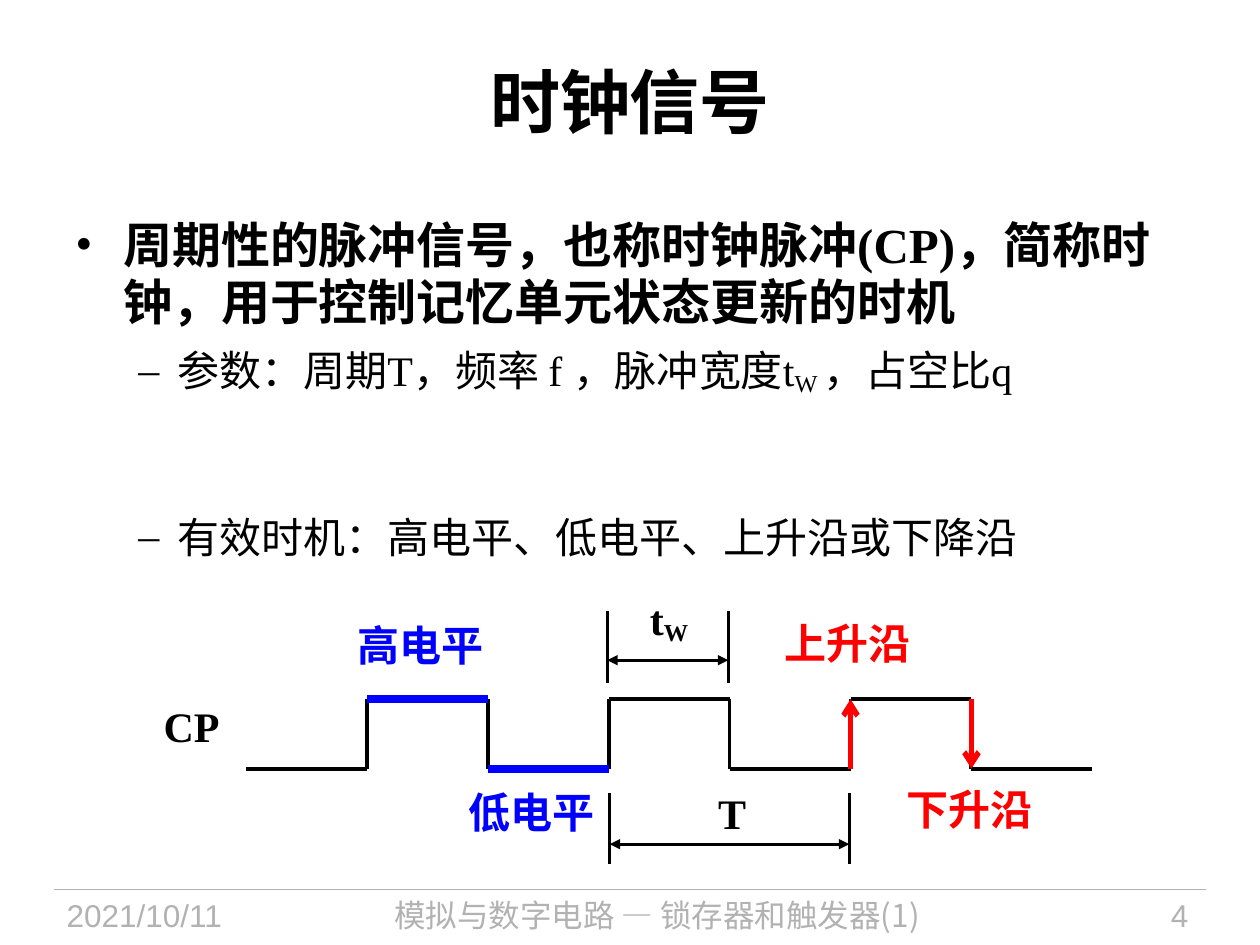
from lxml import etree
from pptx import Presentation
from pptx import util as u
from pptx.dml.color import RGBColor
from pptx.enum import shapes, text
from pptx.oxml.ns import qn

BLACK, RED, BLUE, GREY = "000000", "FF0000", "0000FF", "B2B2B2"
SERIF, SANS, CJK = "Times New Roman", "Arial", "Noto Sans CJK SC"
LEFT, CENTER, RIGHT = text.PP_ALIGN.LEFT, text.PP_ALIGN.CENTER, text.PP_ALIGN.RIGHT


def color(value):
    return RGBColor.from_string(value)


class ClockSlide:
    """Draws styled text and lines on the current slide."""

    def __init__(self, slide):
        self.slide = slide

    def box(self, left, top, width, height, wrap=True):
        shape = self.slide.shapes.add_textbox(*map(u.Inches, (left, top, width, height)))
        shape.text_frame.word_wrap = wrap
        return shape.text_frame

    def add_runs(self, paragraph, parts, size, font=SERIF, fill=BLACK, bold=False, align=LEFT):
        paragraph.alignment = align
        for index, part in enumerate(parts):
            run = paragraph.add_run()
            run.text = part
            run.font.size = u.Pt(size)
            run.font.bold = bold
            run.font.name = font
            run.font.color.rgb = color(fill)
            properties = run.font._element
            etree.SubElement(properties, qn("a:ea"), typeface=CJK)
            if index % 2:
                properties.set("baseline", "-15000")

    def label(self, place, parts, size=24, wrap=False, middle=False, **style):
        frame = self.box(*place, wrap=wrap)
        if middle:
            frame.vertical_anchor = text.MSO_ANCHOR.MIDDLE
        self.add_runs(frame.paragraphs[0], parts, size, **style)

    def bullet(self, paragraph, parts, mark, margin, hanging, size, pitch, before=0, bold=False):
        properties = paragraph._p.get_or_add_pPr()
        properties.set("marL", str(u.Inches(margin)))
        properties.set("indent", str(-u.Inches(hanging)))
        etree.SubElement(properties, qn("a:buFont"), typeface=SERIF)
        etree.SubElement(properties, qn("a:buChar"), char=mark)
        paragraph.line_spacing = u.Pt(pitch)
        paragraph.space_before = u.Pt(before)
        self.add_runs(paragraph, parts, size, bold=bold)

    def line(self, x1, y1, x2, y2, fill=BLACK, width=2.25, head=None, tail=None):
        ends = map(u.Inches, (x1, y1, x2, y2))
        connector = self.slide.shapes.add_connector(shapes.MSO_CONNECTOR.STRAIGHT, *ends)
        connector.line.color.rgb = color(fill)
        connector.line.width = u.Pt(width)
        outline = connector.line._ln
        for name, kind in (("a:headEnd", head), ("a:tailEnd", tail)):
            if kind:
                etree.SubElement(outline, qn(name), type=kind)
        etree.SubElement(connector._element.spPr, qn("a:effectLst"))

    def dimension(self, left, right, top, arrow_y):
        for x in (left, right):
            self.line(x, top, x, top + 0.57, width=1.5)
        self.line(left, arrow_y, right, arrow_y, width=1.5, head="triangle", tail="triangle")


def draw_text(page):
    page.line(0.43, 7.06, 9.57, 7.06, GREY, 0.75)
    footers = (
        (0.43, 1.88, "2021/10/11", SANS, LEFT),
        (2.4, 5.63, "模拟与数字电路 — 锁存器和触发器(1)", CJK, CENTER),
        (8.2, 1.33, "4", SANS, RIGHT),
    )
    for left, width, words, font, align in footers:
        page.label((left, 7.06, width, 0.44), [words], 18, wrap=True,
                   font=font, fill=GREY, align=align)
    page.label((0.5, 0.17, 9, 1.25), ["时钟信号"], 40, wrap=True, middle=True,
               bold=True, align=CENTER)

    body = page.box(0.5, 1.66, 8.95, 3.1)
    page.bullet(body.paragraphs[0],
                ["周期性的脉冲信号，也称时钟脉冲(CP)，简称时钟，用于控制记忆单元状态更新的时机"],
                "•", 0.38, 0.38, 28, 33, bold=True)
    details = (
        (["参数：周期T，频率 f ，脉冲宽度t", "W ", "，占空比q"], 9.5),
        (["有效时机：高电平、低电平、上升沿或下降沿"], 65.5),
    )
    for parts, before in details:
        page.bullet(body.add_paragraph(), parts, "–", 0.81, 0.31, 24, 28.5, before)


def draw_waveform(page):
    low, high, start, step = 6.1, 5.55, 1.95, 0.96
    nodes = [start + step * index for index in range(8)]
    for index, (x, following) in enumerate(zip(nodes, nodes[1:])):
        level, other = (high, low) if index % 2 else (low, high)
        page.line(x, level, following, level)
        if index < 6:
            page.line(following, level, following, other)
    page.line(nodes[1], high, nodes[2], high, BLUE, 4.5)
    page.line(nodes[2], low, nodes[3], low, BLUE, 4.5)
    page.line(nodes[5], low, nodes[5], high, RED, 3, tail="arrow")
    page.line(nodes[6], high, nodes[6], low, RED, 3, tail="arrow")
    page.dimension(4.82, 5.78, 4.85, 5.24)
    page.dimension(4.84, 6.74, 6.29, 6.7)

    labels = (
        (1.2, 5.51, 0.65, ["CP"], SERIF, BLACK),
        (5.06, 4.66, 0.53, ["t", "W"], SERIF, BLACK),
        (5.6, 6.2, 0.42, ["T"], SERIF, BLACK),
        (2.74, 4.87, 1.2, ["高电平"], SANS, BLUE),
        (3.62, 6.19, 1.2, ["低电平"], SANS, BLUE),
        (6.13, 4.85, 1.2, ["上升沿"], SANS, RED),
        (7.1, 6.17, 1.2, ["下升沿"], SANS, RED),
    )
    for left, top, width, parts, font, fill in labels:
        page.label((left, top, width, 0.5), parts, font=font, fill=fill, bold=True)


def main():
    presentation = Presentation()
    presentation.slide_width = u.Inches(10)
    presentation.slide_height = u.Inches(7.5)
    page = ClockSlide(presentation.slides.add_slide(presentation.slide_layouts[6]))
    draw_text(page)
    draw_waveform(page)
    presentation.save("out.pptx")


if __name__ == "__main__":
    main()
